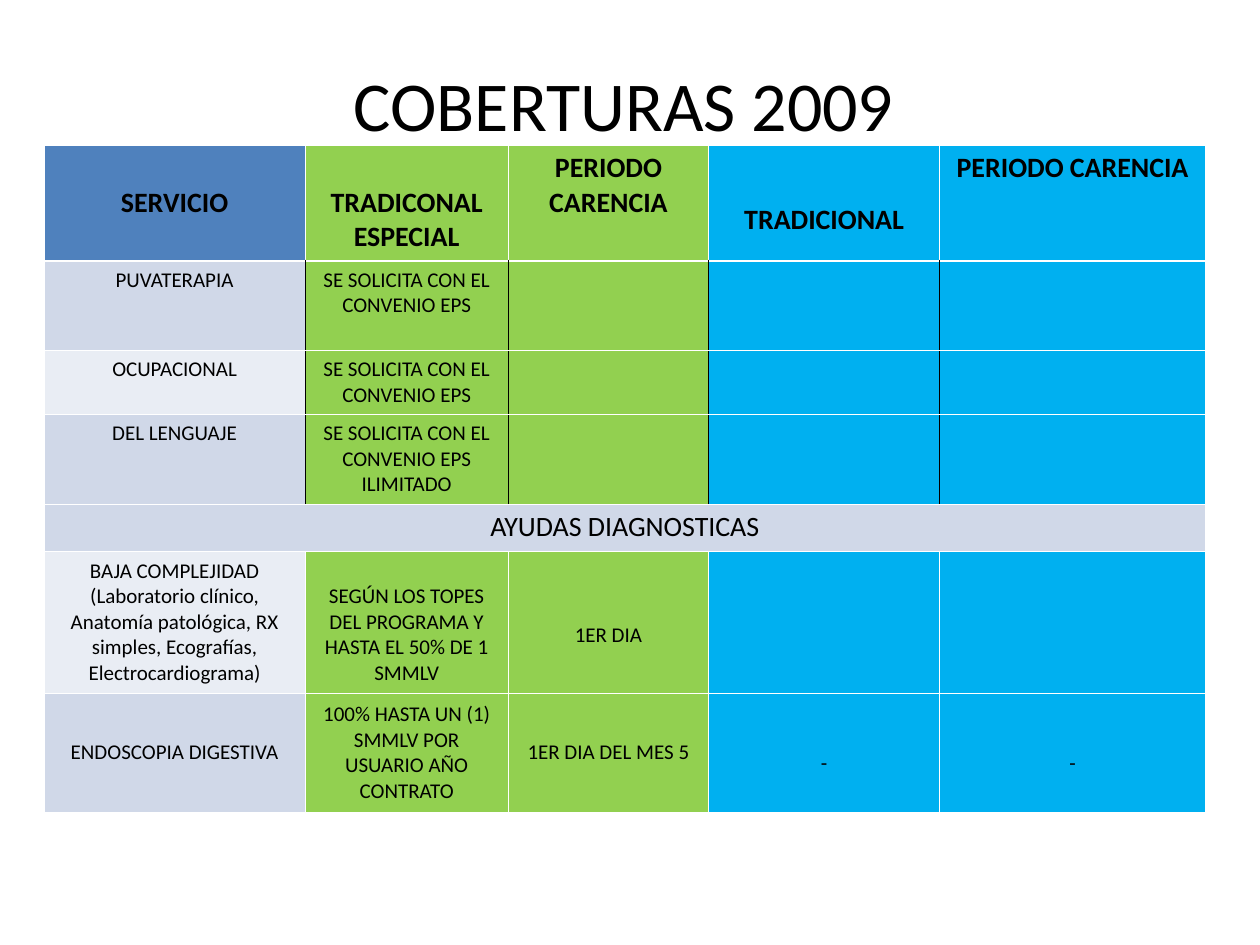
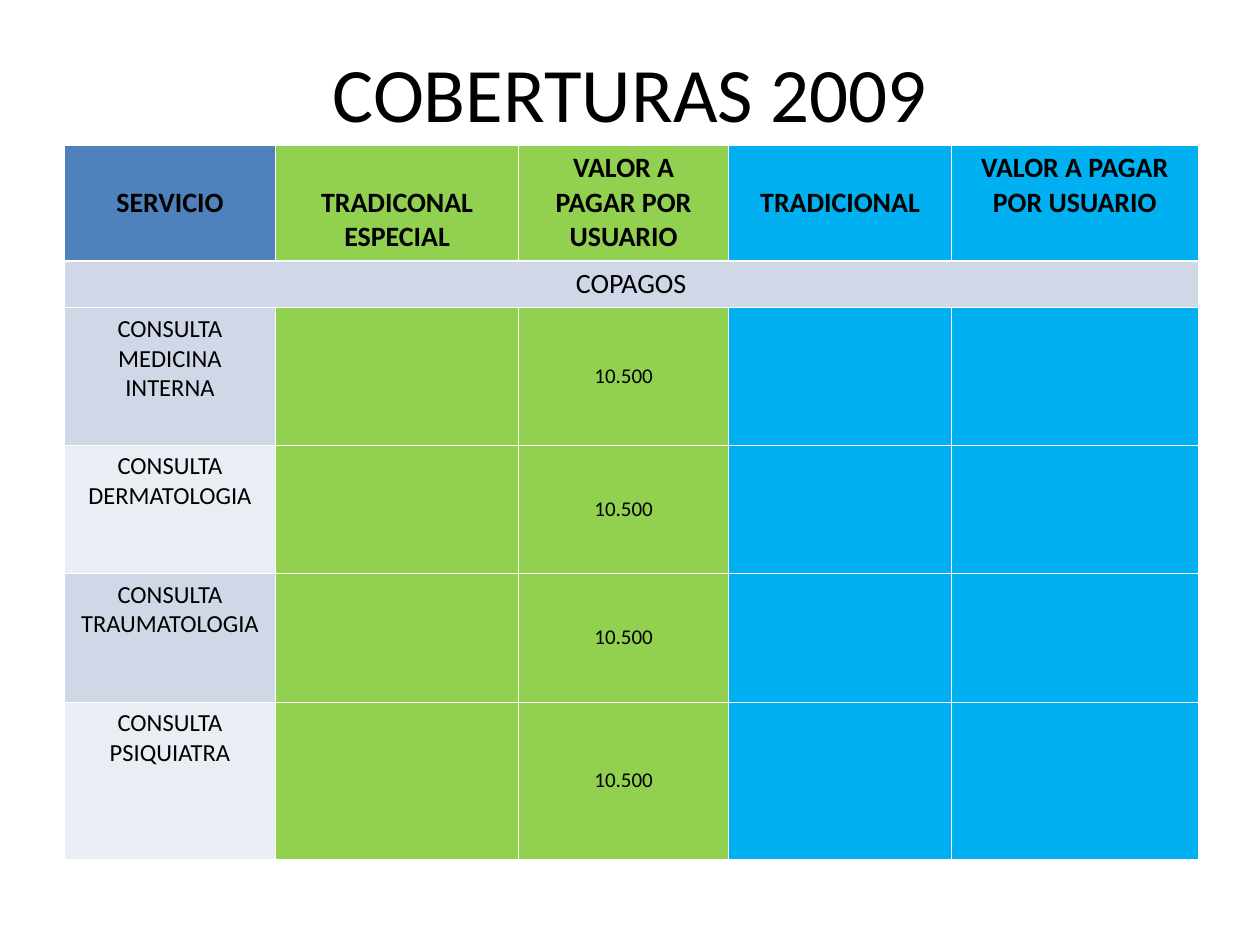
from dataclasses import dataclass

from lxml.etree import SubElement
from pptx import Presentation
from pptx.dml.color import RGBColor
from pptx.enum.text import MSO_ANCHOR, PP_ALIGN
from pptx.oxml.ns import qn
from pptx.util import Inches, Pt

FONT = "Calibri"
BLACK = RGBColor(0x00, 0x00, 0x00)
WHITE = RGBColor(0xFF, 0xFF, 0xFF)
HEADER_BLUE = RGBColor(0x4F, 0x81, 0xBD)
GREEN = RGBColor(0x92, 0xD0, 0x50)
SKY = RGBColor(0x00, 0xB0, 0xF0)
BAND_DARK = RGBColor(0xD0, 0xD8, 0xE8)
BAND_LIGHT = RGBColor(0xE9, 0xED, 0xF4)
PLAN_COLOURS = [GREEN, GREEN, SKY, SKY]

TITLE = "COBERTURAS 2009"
THIN, THICK = 0.45, 1.47
LINE_SPACING = 1.22
TOP, MIDDLE = MSO_ANCHOR.TOP, MSO_ANCHOR.MIDDLE


@dataclass
class Entry:
    text: str = ""
    size: int = 12
    anchor: MSO_ANCHOR = TOP
    lines_above: int = 0
    lines_below: int = 0
    bold: bool = False


EMPTY = Entry()


def heading(text, anchor=TOP, lines_above=0):
    return Entry(text, 16, anchor, lines_above, bold=True)


def section(text):
    return [Entry(text, 16)]


def centred(text, **gaps):
    return Entry(text, anchor=MIDDLE, **gaps)


def place_title(slide, box, size):
    title = slide.shapes.title
    title.left, title.top, title.width, title.height = map(Inches, box)
    frame = title.text_frame
    frame.text = TITLE
    frame.vertical_anchor = MIDDLE
    paragraph = frame.paragraphs[0]
    paragraph.alignment = PP_ALIGN.CENTER
    paragraph.font.size = Pt(size)
    paragraph.font.name = FONT
    paragraph.font.color.rgb = BLACK


def draw_border(cell, side, colour, width):
    line = SubElement(cell._tc.get_or_add_tcPr(), qn(f"a:ln{side}"), w=str(Pt(width)))
    fill = SubElement(line, qn("a:solidFill"))
    SubElement(fill, qn("a:srgbClr"), val=str(colour))


def write_entry(cell, entry):
    line_height = entry.size * LINE_SPACING / 72
    cell.margin_left = cell.margin_right = Inches(0.1)
    cell.margin_top = Inches(0.05 + entry.lines_above * line_height)
    cell.margin_bottom = Inches(0.05 + entry.lines_below * line_height)
    cell.vertical_anchor = entry.anchor
    cell.text_frame.text = entry.text
    for paragraph in cell.text_frame.paragraphs:
        paragraph.alignment = PP_ALIGN.CENTER
        paragraph.font.size = Pt(entry.size)
        paragraph.font.name = FONT
        paragraph.font.bold = entry.bold
        paragraph.font.color.rgb = BLACK


def place_coverage_table(slide, box, column_shares, row_shares, rows, first_colours, ruled_rows=()):
    left, top, width, height = box
    last_column = len(column_shares) - 1
    table = slide.shapes.add_table(
        len(rows), len(column_shares), *map(Inches, box)
    ).table
    table.first_row = table.horz_banding = False
    for column, share in zip(table.columns, column_shares):
        column.width = Inches(width * share / sum(column_shares))
    for row, share in zip(table.rows, row_shares):
        row.height = Inches(height * share / sum(row_shares))

    for r, (entries, first_colour) in enumerate(zip(rows, first_colours)):
        is_section = len(entries) == 1
        if is_section:
            table.cell(r, 0).merge(table.cell(r, last_column))
            entries = entries + [EMPTY] * last_column
        colours = [first_colour] + PLAN_COLOURS
        for c, entry in enumerate(entries):
            cell = table.cell(r, c)
            write_entry(cell, entry)
            inner = BLACK if r in ruled_rows else WHITE
            draw_border(cell, "L", inner if c > 0 else WHITE, THIN)
            draw_border(cell, "R", inner if c < last_column else WHITE, THIN)
            draw_border(cell, "T", WHITE, THICK if r == 1 else THIN)
            draw_border(cell, "B", WHITE, THICK if r == 0 else THIN)
            cell.fill.solid()
            cell.fill.fore_color.rgb = first_colour if is_section else colours[c]


def build_waiting_periods(slide):
    place_title(slide, (0.7, 0.47, 8.5, 0.7), 40)
    agreement = "SE SOLICITA CON EL CONVENIO EPS"
    waiting = heading("PERIODO CARENCIA")
    dash = Entry("-", lines_above=2)
    rows = [
        [heading("SERVICIO", lines_above=1),
         heading("TRADICONAL ESPECIAL", MIDDLE, 1), waiting,
         heading("TRADICIONAL", MIDDLE, 1), waiting],
        [Entry("PUVATERAPIA"), centred(agreement, lines_below=1)] + [EMPTY] * 3,
        [Entry("OCUPACIONAL"), centred(agreement)] + [EMPTY] * 3,
        [Entry("DEL LENGUAJE"), Entry(agreement + "\nILIMITADO")] + [EMPTY] * 3,
        section("AYUDAS DIAGNOSTICAS"),
        [Entry("BAJA COMPLEJIDAD (Laboratorio clínico, Anatomía patológica, "
               "RX simples, Ecografías, Electrocardiograma)"),
         Entry("SEGÚN LOS TOPES DEL PROGRAMA Y HASTA EL 50% DE 1 SMMLV", lines_above=1),
         centred("1ER DIA", lines_above=1), EMPTY, EMPTY],
        [centred("ENDOSCOPIA DIGESTIVA"),
         centred("100% HASTA UN (1) SMMLV POR USUARIO AÑO CONTRATO"),
         centred("1ER DIA DEL MES 5"), dash, dash],
    ]
    place_coverage_table(
        slide, (0.35, 1.15, 9.22, 5.3),
        [2.07, 1.61, 1.59, 1.83, 2.11],
        [0.92, 0.71, 0.51, 0.71, 0.38, 1.12, 0.95],
        rows,
        [HEADER_BLUE, BAND_DARK, BAND_LIGHT, BAND_DARK, BAND_DARK, BAND_LIGHT, BAND_DARK],
        ruled_rows=(1, 2, 3),
    )


def build_copayments(slide):
    place_title(slide, (0.5, 0.3, 9, 0.85), 44)
    payment = heading("VALOR A PAGAR POR USUARIO")
    specialties = ["MEDICINA INTERNA", "DERMATOLOGIA", "TRAUMATOLOGIA", "PSIQUIATRA"]
    rows = [
        [heading("SERVICIO", lines_above=1),
         heading("TRADICONAL ESPECIAL", lines_above=1), payment,
         heading("TRADICIONAL", lines_above=1), payment],
        section("COPAGOS"),
    ] + [
        [Entry(f"CONSULTA {specialty}", 14), EMPTY, centred("10.500"), EMPTY, EMPTY]
        for specialty in specialties
    ]
    place_coverage_table(
        slide, (0.51, 1.15, 9, 5.67),
        [1.68, 1.93, 1.67, 1.77, 1.96],
        [0.92, 0.37, 1.09, 1.02, 1.02, 1.25],
        rows,
        [HEADER_BLUE, BAND_DARK] + [BAND_DARK, BAND_LIGHT] * 2,
    )


def main():
    deck = Presentation()
    deck.slide_width, deck.slide_height = Inches(10), Inches(7.5)
    title_only = deck.slide_layouts[5]
    for build in (build_waiting_periods, build_copayments):
        build(deck.slides.add_slide(title_only))
    deck.save("out.pptx")


if __name__ == "__main__":
    main()
